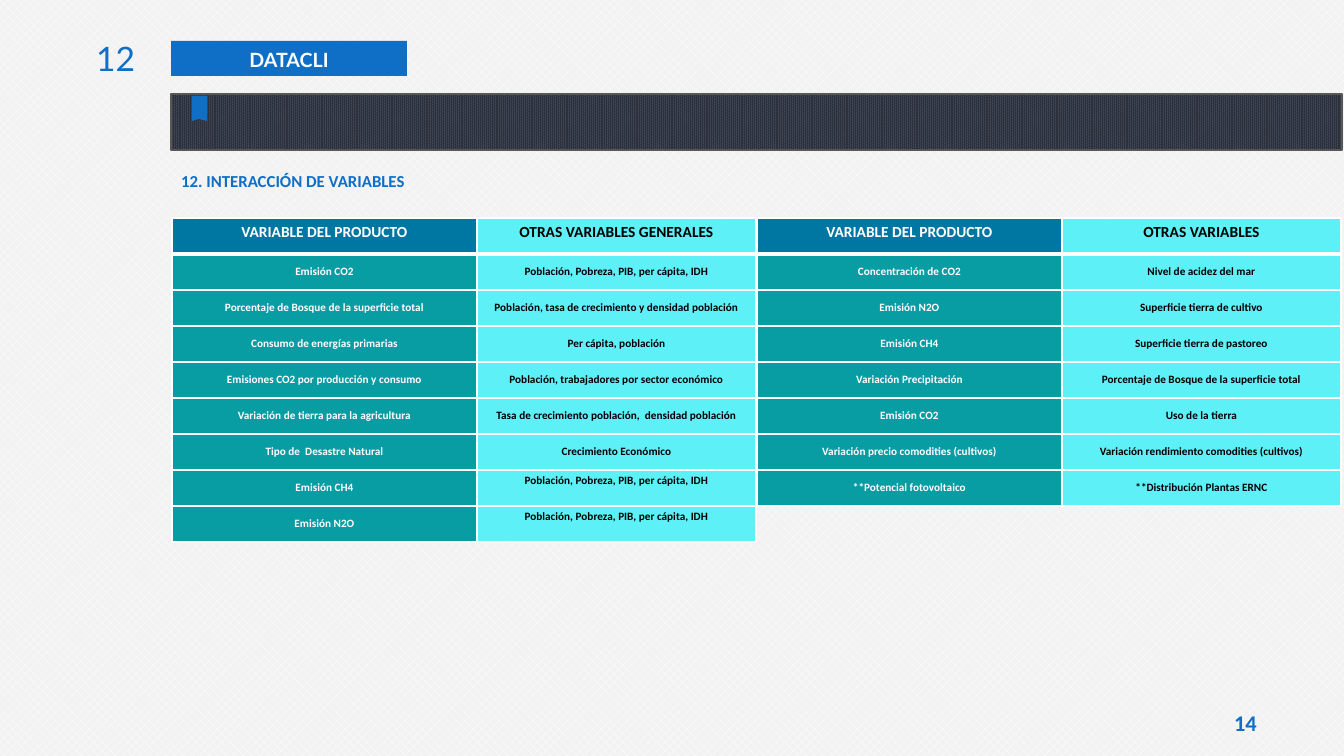
"""Build the slide on the interaction of variables."""
from typing import NamedTuple

from lxml.etree import SubElement
from pptx import Presentation
from pptx.dml.color import RGBColor
from pptx.enum.dml import MSO_PATTERN as Pattern
from pptx.enum.shapes import MSO_SHAPE as Shape
from pptx.enum.text import MSO_ANCHOR as Anchor, MSO_AUTO_SIZE as AutoSize, PP_ALIGN as Align
from pptx.oxml.ns import qn
from pptx.util import Pt

EMU_PER_PX = 914400 / 100.8
COLORS = {
    "blue": "0F6FC6", "white": "FFFFFF", "black": "000000", "paper": "F2F2F2",
    "band": "2D313C", "band_back": "444A5A", "band_line": "575756",
    "head": "0076A3", "teal": "089CA3", "cyan": "5EF0F7",
}
ROW_HEIGHT = 36
COLUMN_WIDTHS = (305, 279)
TABLE_TOP = 218
BOOKMARK = ((207, 96), (207, 121), (199, 119), (192, 121), (192, 96))


class Label(NamedTuple):
    text: str
    box: tuple[int, int, int, int]
    size: int
    font: str
    align: Align
    color: str = "blue"
    bold: bool = True
    fill: str | None = None
    spacing: float = 1.0


class VariableTable(NamedTuple):
    left: int
    rows: tuple[tuple[str, str], ...]
    raised_rows: tuple[int, ...] = ()


HEADING = Label("12. INTERACCIÓN DE VARIABLES", (171, 166, 500, 30), 12, "Calibri", Align.LEFT)
LABELS = (
    Label("14", (1215, 706, 61, 33), 16, "Calibri", Align.CENTER),
    Label("DATACLI", (171, 41, 236, 35), 14, "Lato", Align.CENTER,
          color="white", fill="blue", spacing=1.1),
    Label("12", (79, 33, 66, 50), 24, "Lato", Align.RIGHT, bold=False),
)
TABLES = (
    VariableTable(172, (
        ("VARIABLE DEL PRODUCTO", "OTRAS VARIABLES GENERALES"),
        ("Emisión CO2", "Población, Pobreza, PIB, per cápita, IDH"),
        ("Porcentaje de Bosque de la superficie total",
         "Población, tasa de crecimiento y densidad población"),
        ("Consumo de energías primarias", "Per cápita, población"),
        ("Emisiones CO2 por producción y consumo",
         "Población, trabajadores por sector económico"),
        ("Variación de tierra para la agricultura",
         "Tasa de crecimiento población,  densidad población"),
        ("Tipo de  Desastre Natural", "Crecimiento Económico"),
        ("Emisión CH4", "Población, Pobreza, PIB, per cápita, IDH"),
        ("Emisión N2O", "Población, Pobreza, PIB, per cápita, IDH"),
    ), raised_rows=(7, 8)),
    VariableTable(757, (
        ("VARIABLE DEL PRODUCTO", "OTRAS VARIABLES"),
        ("Concentración de CO2", "Nivel de acidez del mar"),
        ("Emisión N2O", "Superficie tierra de cultivo"),
        ("Emisión CH4", "Superficie tierra de pastoreo"),
        ("Variación Precipitación", "Porcentaje de Bosque de la superficie total"),
        ("Emisión CO2", "Uso de la tierra"),
        ("Variación precio comodities (cultivos)",
         "Variación rendimiento comodities (cultivos)"),
        ("**Potencial fotovoltaico", "**Distribución Plantas ERNC"),
    )),
)


def px(length: int) -> int:
    return round(length * EMU_PER_PX)


def rgb(name: str) -> RGBColor:
    return RGBColor.from_string(COLORS[name])


def set_pattern(fill, preset: str, front: str, back: str) -> None:
    fill.patterned()
    fill.pattern = Pattern.from_xml(preset)
    fill.fore_color.rgb = rgb(front)
    fill.back_color.rgb = rgb(back)


def write(frame, text: str, *, size: int, font: str, color: str, bold: bool = True,
          align: Align = Align.CENTER, spacing: float = 1.0) -> None:
    para = frame.paragraphs[0]
    para.alignment = align
    para.line_spacing = spacing
    span = para.add_run()
    span.text = text
    span.font.size = Pt(size)
    span.font.name = font
    span.font.bold = bold
    span.font.color.rgb = rgb(color)


def fill_label(box, label: Label) -> None:
    box.left, box.top, box.width, box.height = map(px, label.box)
    if label.fill:
        box.fill.solid()
        box.fill.fore_color.rgb = rgb(label.fill)
    frame = box.text_frame
    frame.word_wrap = True
    frame.auto_size = AutoSize.NONE
    frame.vertical_anchor = Anchor.MIDDLE
    frame.margin_top = frame.margin_bottom = 0
    write(frame, label.text, size=label.size, font=label.font, color=label.color,
          bold=label.bold, align=label.align, spacing=label.spacing)


def set_border(cell, side: str, points: int) -> None:
    line = SubElement(cell._tc.get_or_add_tcPr(), qn(f"a:ln{side}"), w=str(Pt(points)))
    SubElement(SubElement(line, qn("a:solidFill")), qn("a:srgbClr"), val=COLORS["white"])


def format_cell(cell, text: str, row: int, column: int, raised: bool) -> None:
    header = row == 0
    borders = {"L": 1, "R": 1, "T": 3 if row == 1 else 1, "B": 3 if header else 1}
    for side, points in borders.items():
        set_border(cell, side, points)
    cell.fill.solid()
    cell.fill.fore_color.rgb = rgb("cyan" if column else "head" if header else "teal")
    if not header:
        cell.vertical_anchor = Anchor.MIDDLE
        cell.margin_left = cell.margin_right = cell.margin_top = 0
        cell.margin_bottom = px(14 if raised else 0)
    write(cell.text_frame, text, size=11 if header else 8, font="Calibri",
          color="black" if column else "white")


def draw_table(page, data: VariableTable) -> None:
    frame = page.shapes.add_table(
        len(data.rows), len(COLUMN_WIDTHS), px(data.left), px(TABLE_TOP),
        px(sum(COLUMN_WIDTHS)), px(ROW_HEIGHT * len(data.rows)))
    table = frame.table
    table.horz_banding = False
    for column, width in zip(table.columns, COLUMN_WIDTHS):
        column.width = px(width)
    for row, texts in enumerate(data.rows):
        table.rows[row].height = px(ROW_HEIGHT)
        for column, text in enumerate(texts):
            raised = column == 1 and row in data.raised_rows
            format_cell(table.cell(row, column), text, row, column, raised)


def draw_band(page) -> None:
    band = page.shapes.add_shape(Shape.RECTANGLE, *map(px, (171, 94, 1171, 56)))
    band.shadow.inherit = False
    set_pattern(band.fill, "pct90", "band", "band_back")
    band.line.color.rgb = rgb("band_line")
    band.line.width = Pt(2)
    builder = page.shapes.build_freeform(*BOOKMARK[0], scale=EMU_PER_PX)
    builder.add_line_segments(BOOKMARK[1:], close=True)
    bookmark = builder.convert_to_shape()
    bookmark.shadow.inherit = False
    bookmark.fill.solid()
    bookmark.fill.fore_color.rgb = rgb("blue")
    bookmark.line.fill.background()


def main() -> None:
    deck = Presentation()
    deck.slide_width, deck.slide_height = px(1344), px(756)
    page = deck.slides.add_slide(deck.slide_layouts[5])
    set_pattern(page.background.fill, "pct40", "white", "paper")
    fill_label(page.shapes.title, HEADING)
    for label in LABELS:
        fill_label(page.shapes.add_textbox(*map(px, label.box)), label)
    draw_band(page)
    for table in TABLES:
        draw_table(page, table)
    deck.save("out.pptx")


if __name__ == "__main__":
    main()
